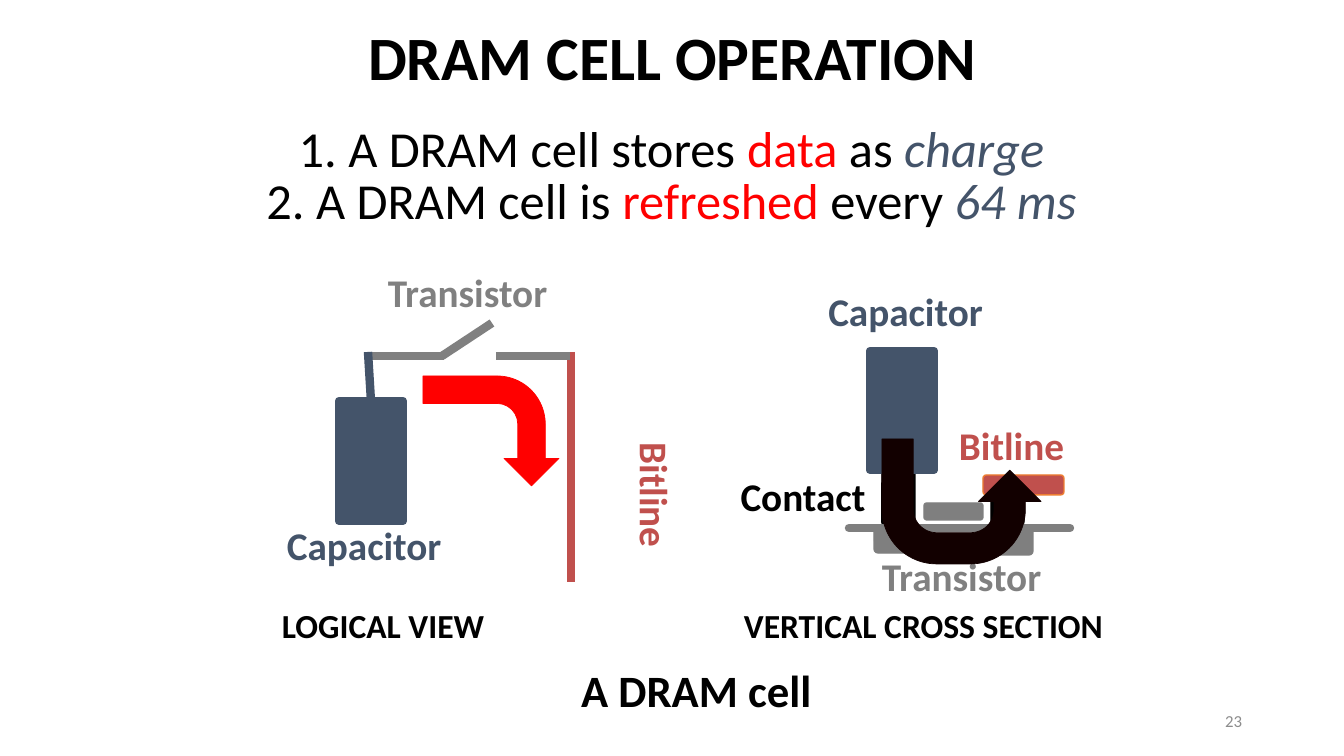
from dataclasses import dataclass

from lxml.etree import SubElement
from pptx import Presentation
from pptx.dml.color import RGBColor
from pptx.enum.shapes import MSO_CONNECTOR as Connector, MSO_SHAPE as Shape
from pptx.enum.text import MSO_ANCHOR as Anchor, MSO_AUTO_SIZE as AutoSize, PP_ALIGN as Align
from pptx.oxml.ns import qn
from pptx.util import Emu, Pt

PX_PER_INCH = 100.8
FONT = "Calibri"
BLACK, RED, SLATE, GRAY, BRICK = "000000", "FF0000", "44546A", "808080", "C0504D"
SILICON, ORANGE, CHARGE = "7F7F7F", "ED7D31", "120000"
THICK = 6


@dataclass
class Label:
    text: str
    area: tuple[int, int, int, int]
    color: str = BLACK
    size: int = 28
    bold: bool = True
    align: Align = Align.CENTER
    anchor: Anchor = Anchor.MIDDLE
    wrap: bool = True
    rotation: int = 0


@dataclass
class Block:
    kind: Shape
    area: tuple[int, int, int, int]
    fill: str | None
    line: str
    width: float = 1
    rotation: int = 0
    flip: bool = False


@dataclass
class Wire:
    start: tuple[int, int]
    end: tuple[int, int]
    color: str
    round_cap: bool = False


def px(length: int) -> Emu:
    return Emu(round(length * 914400 / PX_PER_INCH))


def rgb(color: str) -> RGBColor:
    return RGBColor.from_string(color)


def style_span(span, size: int, color: str, bold: bool = False, italic: bool = False) -> None:
    font = span.font
    font.name, font.size, font.bold, font.italic = FONT, Pt(size), bold, italic
    font.color.rgb = rgb(color)


def add_box(page, area: tuple[int, int, int, int], anchor: Anchor, wrap: bool = True):
    box = page.shapes.add_textbox(*map(px, area))
    box.text_frame.word_wrap = wrap
    box.text_frame.vertical_anchor = anchor
    return box


def add_label(page, label: Label) -> None:
    box = add_box(page, label.area, label.anchor, label.wrap)
    box.rotation = label.rotation
    para = box.text_frame.paragraphs[0]
    para.text = label.text
    para.alignment = label.align
    style_span(para.runs[0], label.size, label.color, label.bold)


def add_statement(page, top: int, parts: list[str]) -> None:
    para = add_box(page, (151, top, 1041, 84), Anchor.BOTTOM).text_frame.paragraphs[0]
    para.alignment = Align.CENTER
    para.line_spacing = 0.9
    for text, color in zip(parts, (BLACK, RED, BLACK, SLATE)):
        span = para.add_run()
        span.text = text
        style_span(span, 36, color, italic=color == SLATE)


def add_block(page, block: Block):
    shape = page.shapes.add_shape(block.kind, *map(px, block.area))
    shape.shadow.inherit = False
    shape.rotation = block.rotation
    if block.fill:
        shape.fill.solid()
        shape.fill.fore_color.rgb = rgb(block.fill)
    else:
        shape.fill.background()
    shape.line.color.rgb = rgb(block.line)
    shape.line.width = Pt(block.width)
    if block.flip:
        shape.element.spPr.find(qn("a:xfrm")).set("flipV", "1")
    return shape


def add_wire(page, wire: Wire):
    line = page.shapes.add_connector(
        Connector.STRAIGHT, *map(px, wire.start), *map(px, wire.end))
    line.line.color.rgb = rgb(wire.color)
    line.line.width = Pt(THICK)
    properties = line.element.spPr
    if wire.round_cap:
        properties.find(qn("a:ln")).set("cap", "rnd")
    SubElement(properties, qn("a:effectLst"))
    return line


def add_caption(page, text: str) -> None:
    title = page.shapes.title
    title.left, title.top, title.width, title.height = map(px, (571, 651, 278, 84))
    frame = title.text_frame
    frame.text = text
    frame.auto_size = AutoSize.NONE
    frame.word_wrap = True
    frame.vertical_anchor = Anchor.MIDDLE
    para = frame.paragraphs[0]
    para.alignment = Align.LEFT
    para.line_spacing = 0.9
    style_span(para.runs[0], 32, BLACK, bold=True)


LOGICAL_WIRES = [
    Wire((571, 352), (571, 582), BRICK),
    Wire((369, 356), (444, 356), GRAY),
    Wire((496, 356), (570, 356), GRAY),
    Wire((442, 356), (492, 323), GRAY),
]
CONTACTS = [
    Block(Shape.ROUNDED_RECTANGLE, (991, 495, 33, 32), BLACK, BLACK),
    Block(Shape.ROUNDED_RECTANGLE, (882, 468, 33, 60), BLACK, BLACK),
]
CROSS_SECTION = [
    Block(Shape.ROUND_2_SAME_RECTANGLE, (874, 528, 50, 25), SILICON, SILICON, rotation=180),
    Block(Shape.ROUND_2_SAME_RECTANGLE, (983, 530, 50, 25), SILICON, SILICON, rotation=180),
    Block(Shape.ROUNDED_RECTANGLE, (924, 503, 59, 17), SILICON, GRAY),
    Block(Shape.ROUNDED_RECTANGLE, (983, 475, 81, 20), BRICK, ORANGE),
    Block(Shape.RECTANGLE, (870, 352, 64, 118), SLATE, SLATE, THICK),
    Block(Shape.RECTANGLE, (870, 351, 64, 118), None, SLATE, THICK),
]
LEFT_TOP = dict(align=Align.LEFT, anchor=Anchor.TOP, wrap=False)
LABELS = [
    Label("Capacitor", (277, 516, 177, 57), SLATE, **LEFT_TOP),
    Label("Transistor", (378, 263, 185, 57), GRAY, **LEFT_TOP),
    Label("Bitline", (584, 468, 143, 54), BRICK, rotation=90),
    Label("Contact", (706, 469, 194, 54)),
    Label("Transistor", (789, 549, 345, 54), GRAY),
    Label("Bitline", (940, 418, 143, 54), BRICK),
    Label("Capacitor", (814, 288, 183, 46), SLATE),
    Label("LOGICAL VIEW", (272, 600, 225, 50), size=24, **LEFT_TOP),
    Label("VERTICAL CROSS SECTION", (734, 600, 384, 50), size=24, **LEFT_TOP),
    Label("DRAM CELL OPERATION", (219, -7, 907, 126), size=44),
    Label("23", (950, 701, 302, 40), "8C8C8C", 12, bold=False, align=Align.RIGHT),
]


def main() -> None:
    deck = Presentation()
    deck.slide_width, deck.slide_height = px(1344), px(756)
    page = deck.slides.add_slide(deck.slide_layouts[5])
    add_caption(page, "A DRAM cell")

    # Logical view
    for wire in LOGICAL_WIRES:
        add_wire(page, wire)
    capacitor = add_block(page, Block(Shape.RECTANGLE, (339, 401, 64, 118), SLATE, SLATE, THICK))
    lead = add_wire(page, Wire((368, 352), (371, 401), SLATE))
    lead.end_connect(capacitor, 0)
    add_block(page, Block(Shape.RECTANGLE, (339, 403, 64, 118), None, SLATE, THICK))
    add_block(page, Block(Shape.BENT_ARROW, (436, 363, 110, 136), RED, RED, 0.5, rotation=90))

    # Vertical cross section
    for contact in CONTACTS:
        add_block(page, contact)
    add_wire(page, Wire((849, 528), (1070, 528), SILICON, round_cap=True))
    for block in CROSS_SECTION:
        add_block(page, block)

    # Labels, with the charge flow above them
    for label in LABELS:
        add_label(page, label)
    add_block(page, Block(Shape.U_TURN_ARROW, (882, 439, 159, 125), CHARGE, CHARGE, 0.5, flip=True))

    # Statements
    add_statement(page, 99, ["1. A DRAM cell stores ", "data", " as ", "charge"])
    add_statement(page, 151, ["2. A DRAM cell is ", "refreshed", " every ", "64 ms"])

    deck.save("out.pptx")


if __name__ == "__main__":
    main()
